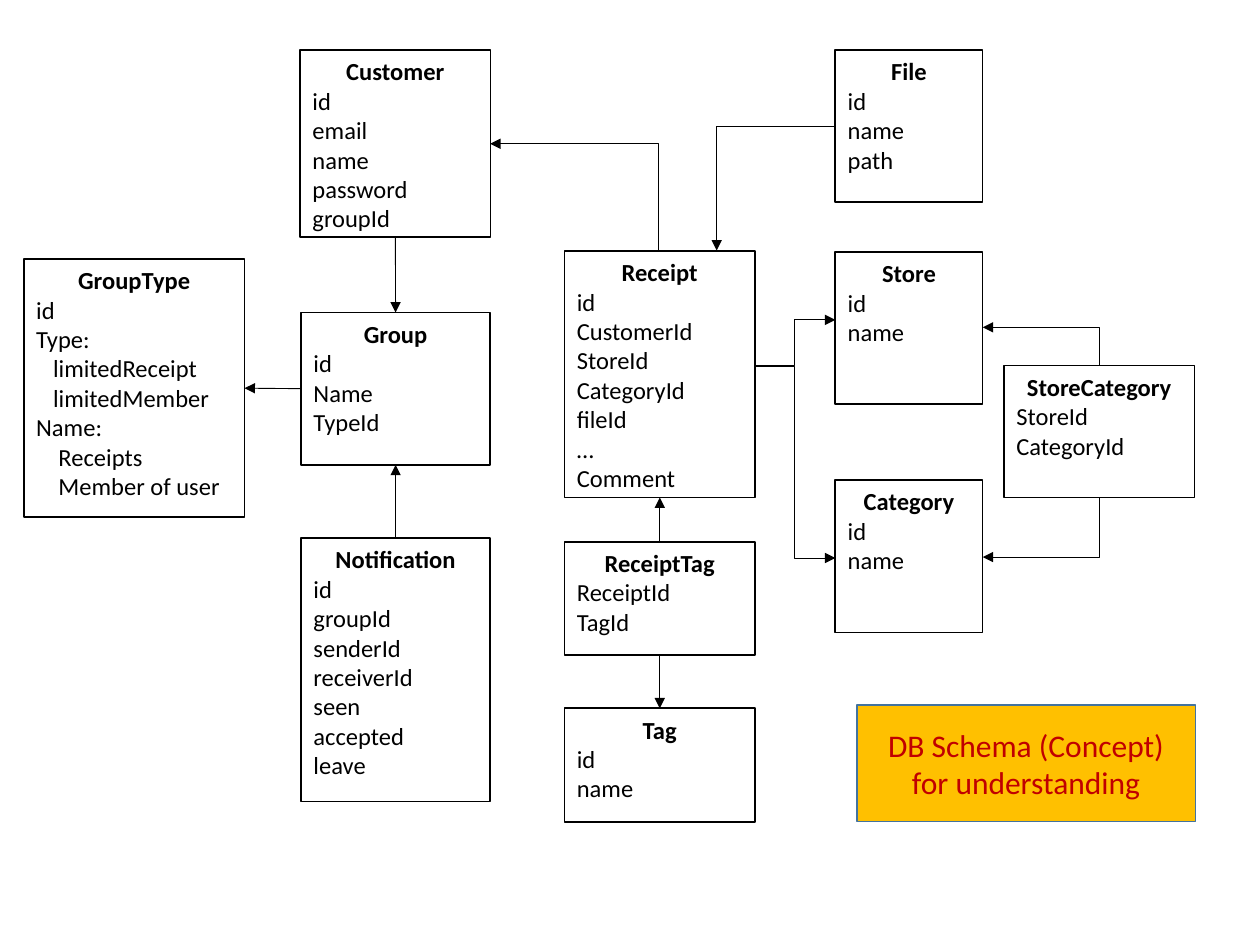
from lxml.etree import SubElement
from pptx import Presentation
from pptx.dml.color import RGBColor
from pptx.enum.shapes import MSO_CONNECTOR, MSO_SHAPE
from pptx.enum.text import MSO_ANCHOR, PP_ALIGN
from pptx.oxml.ns import qn
from pptx.util import Cm, Pt

BLACK = RGBColor(0x00, 0x00, 0x00)
WHITE = RGBColor(0xFF, 0xFF, 0xFF)
AMBER = RGBColor(0xFF, 0xC0, 0x00)
STEEL = RGBColor(0x43, 0x73, 0x9E)
RED = RGBColor(0xC0, 0x00, 0x00)

TOP, RIGHT, BOTTOM, LEFT = 0, 3, 2, 1

presentation = Presentation()
presentation.slide_width = Cm(25.4)
presentation.slide_height = Cm(19.05)
slide = presentation.slides.add_slide(presentation.slide_layouts[6])


def add_arrow(kind, start_x, start_y, end_x, end_y):
    connector = slide.shapes.add_connector(
        kind, Cm(start_x), Cm(start_y), Cm(end_x), Cm(end_y))
    connector.line.color.rgb = BLACK
    connector.line.width = Pt(0.5)
    SubElement(connector.line._get_or_add_ln(), qn("a:tailEnd"), type="triangle")
    SubElement(connector._element.spPr, qn("a:effectLst"))
    return connector


def add_box(bounds, fill, line, lines, size, color):
    shape = slide.shapes.add_shape(
        MSO_SHAPE.RECTANGLE, *[Cm(value) for value in bounds])
    shape.shadow.inherit = False
    shape.fill.solid()
    shape.fill.fore_color.rgb = fill
    shape.line.color.rgb = line
    shape.line.width = Pt(1)
    frame = shape.text_frame
    frame.word_wrap = True
    for index, text in enumerate(lines):
        paragraph = frame.add_paragraph() if index else frame.paragraphs[0]
        paragraph.alignment = PP_ALIGN.CENTER
        run = paragraph.add_run()
        run.text = text
        run.font.name = "Calibri"
        run.font.size = Pt(size)
        run.font.color.rgb = color
    return shape


for ends in [(15.21, 7.37, 16.84, 6.45), (15.21, 7.39, 16.84, 11.25)]:
    add_arrow(MSO_CONNECTOR.ELBOW, *ends)

file_arrow = add_arrow(MSO_CONNECTOR.ELBOW, 18.01, 2.54, 14.45, 5.05)
file_arrow._element.spPr.prstGeom.set("prst", "bentConnector2")

vertical_first = [
    (22.17, 10.03, 19.81, 11.23),
    (22.17, 7.37, 19.81, 6.6),
    (13.28, 5.05, 9.88, 2.9),
]
for start_x, start_y, end_x, end_y in vertical_first:
    center_x, center_y = (start_x + end_x) / 2, (start_y + end_y) / 2
    half_run = abs(end_y - start_y) / 2
    half_rise = (start_x - end_x) / 2
    down = end_y > start_y
    if not down:
        half_rise = -half_rise
    turn = add_arrow(
        MSO_CONNECTOR.ELBOW, center_x - half_run, center_y - half_rise,
        center_x + half_run, center_y + half_rise)
    turn._element.spPr.prstGeom.set("prst", "bentConnector2")
    turn._element.spPr.xfrm.set("rot", str((90 if down else 270) * 60000))

tables = {
    "Receipt": ((11.38, 5.06, 3.84, 4.97),
                ["id", "CustomerId", "StoreId", "CategoryId", "fileId", "…", "Comment"]),
    "Store": ((16.84, 5.08, 2.97, 3.07), ["id", "name"]),
    "Category": ((16.84, 9.68, 2.97, 3.07), ["id", "name"]),
    "StoreCategory": ((20.24, 7.37, 3.84, 2.66), ["StoreId", "CategoryId"]),
    "Tag": ((11.38, 14.28, 3.84, 2.29), ["id", "name"]),
    "ReceiptTag": ((11.38, 10.92, 3.84, 2.29), ["ReceiptId", "TagId"]),
    "Group": ((6.07, 6.3, 3.81, 3.07), ["id", "Name", "TypeId"]),
    "Customer": ((6.05, 1.01, 3.84, 3.77),
                 ["id", "email", "name", "password", "groupId"]),
    "GroupType": ((0.48, 5.22, 4.45, 5.21),
                  ["id", "Type:", "limitedReceipt", "limitedMember",
                   "Name:", "Receipts", "Member of user"]),
    "Notification": ((6.07, 10.85, 3.81, 5.31),
                     ["id", "groupId", "senderId", "receiverId",
                      "seen", "accepted", "leave"]),
    "File": ((16.84, 1.01, 2.97, 3.07), ["id", "name", "path"]),
}
indents = {"limitedReceipt": 0.34, "limitedMember": 0.34,
           "Receipts": 0.45, "Member of user": 0.45}

boxes = {}
for name, (bounds, fields) in tables.items():
    box = add_box(bounds, WHITE, BLACK, [name] + fields, 14, BLACK)
    box.text_frame.vertical_anchor = MSO_ANCHOR.TOP
    title, *field_paragraphs = box.text_frame.paragraphs
    title.runs[0].font.bold = True
    for paragraph in field_paragraphs:
        paragraph.alignment = PP_ALIGN.LEFT
        if paragraph.text in indents:
            paragraph._p.get_or_add_pPr().set("marL", str(Cm(indents[paragraph.text])))
    boxes[name] = box

straight_links = [
    ("ReceiptTag", TOP, "Receipt", BOTTOM),
    ("ReceiptTag", BOTTOM, "Tag", TOP),
    ("Group", LEFT, "GroupType", RIGHT),
    ("Customer", BOTTOM, "Group", TOP),
    ("Notification", TOP, "Group", BOTTOM),
]
for source, source_side, target, target_side in straight_links:
    link = add_arrow(MSO_CONNECTOR.STRAIGHT, 0, 0, 0, 0)
    link.begin_connect(boxes[source], source_side)
    link.end_connect(boxes[target], target_side)

caption = add_box((17.27, 14.22, 6.83, 2.34), AMBER, STEEL,
                  ["DB Schema (Concept)", "for understanding"], 18, RED)
caption.text_frame.vertical_anchor = MSO_ANCHOR.MIDDLE

presentation.save("out.pptx")
